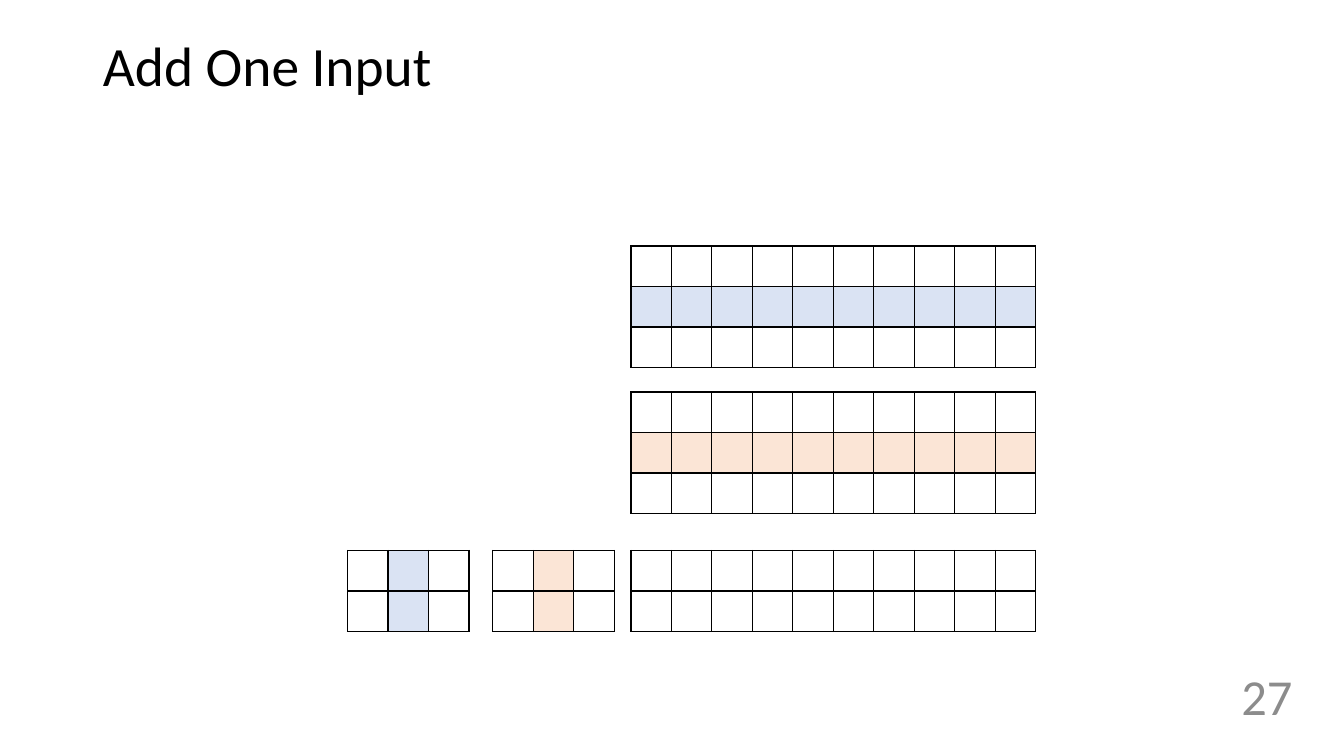
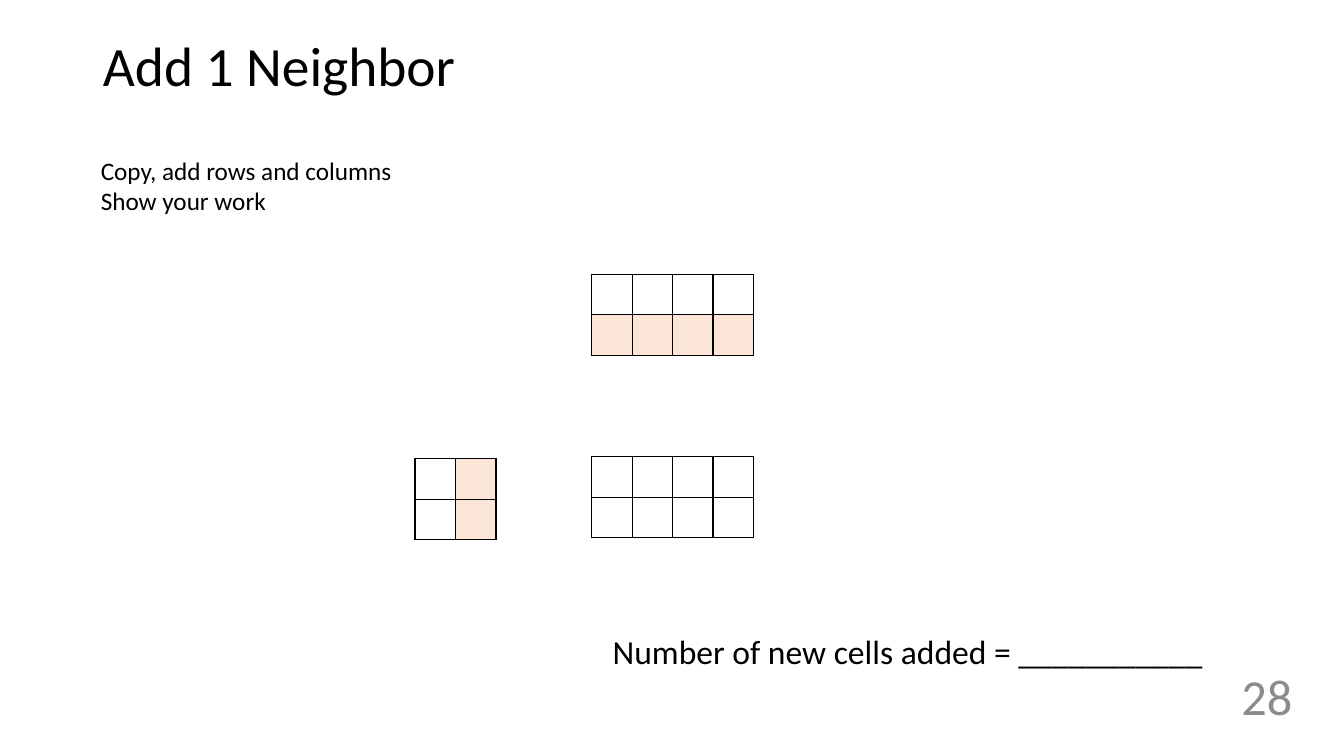
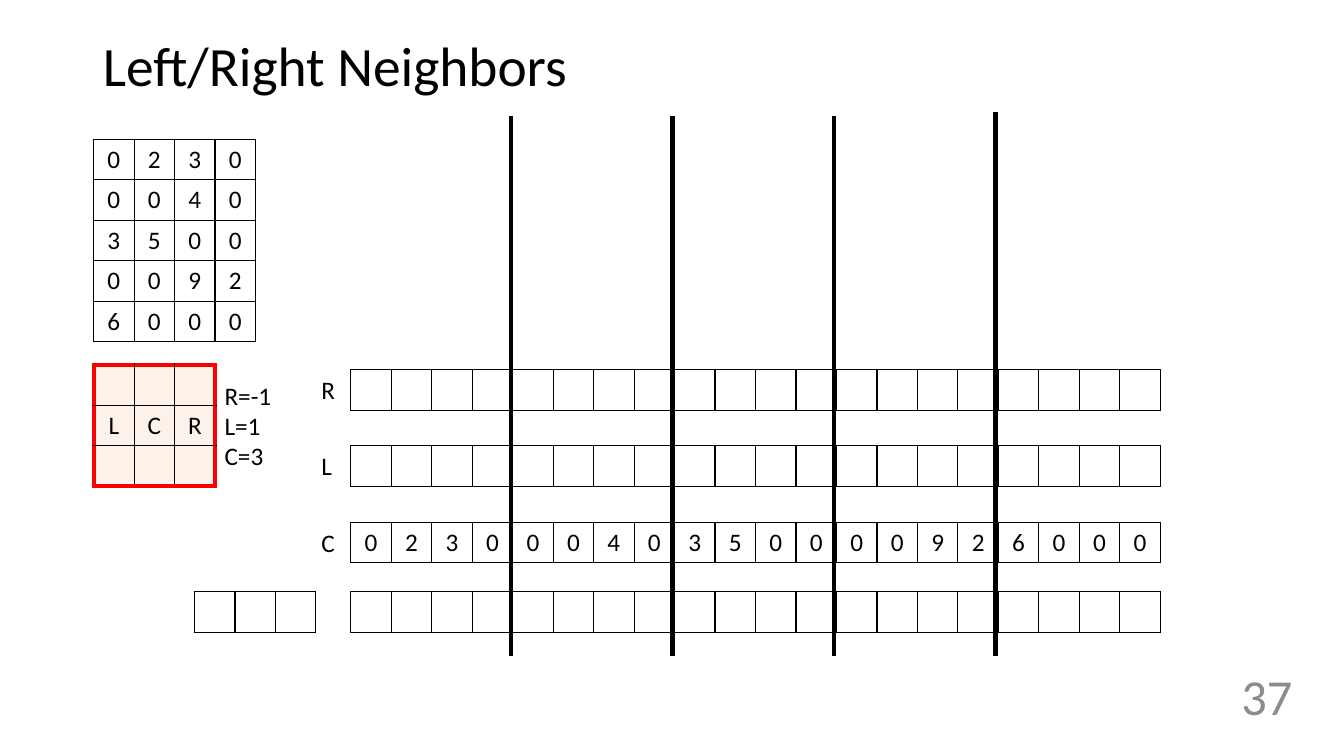
from lxml.etree import SubElement
from pptx import Presentation
from pptx.dml.color import RGBColor
from pptx.enum.shapes import MSO_CONNECTOR
from pptx.enum.text import MSO_ANCHOR, MSO_AUTO_SIZE, PP_ALIGN
from pptx.oxml import parse_xml
from pptx.oxml.ns import nsdecls, qn
from pptx.util import Cm, Pt

rgb = RGBColor.from_string
FONT = "Calibri"
BLACK, GREY, RED = "000000", "8C8C8C", "FF0000"
BLUE, PEACH = "DAE3F3", "FBE5D6"
CELL = 1.02


def add_text(slide, left, top, width, height, lines, size=18, color=BLACK):
    box = slide.shapes.add_textbox(Cm(left), Cm(top), Cm(width), Cm(height))
    frame = box.text_frame
    frame.word_wrap = False
    for index, line in enumerate(lines):
        paragraph = frame.add_paragraph() if index else frame.paragraphs[0]
        run = paragraph.add_run()
        run.text = line
        run.font.name, run.font.size = FONT, Pt(size)
        run.font.color.rgb = rgb(color)
    return frame


def add_grid(slide, left, top, rows, columns, values="",
             row_fills={}, column_fills={}, frame=None):
    """Add a table of square cells; values holds one character per cell, row by row."""
    table = slide.shapes.add_table(rows, columns, Cm(left), Cm(top),
                                   Cm(columns * CELL), Cm(rows * CELL)).table
    table.first_row = table.horz_banding = False
    for column in table.columns:
        column.width = Cm(CELL)
    for row in table.rows:
        row.height = Cm(CELL)
    for index, cell in enumerate(table.iter_cells()):
        r, c = divmod(index, columns)
        fill = row_fills.get(r) or column_fills.get(c)
        if fill:
            cell.fill.solid()
            cell.fill.fore_color.rgb = rgb(fill)
        else:
            cell.fill.background()
        outer = {"L": c == 0, "R": c == columns - 1, "T": r == 0, "B": r == rows - 1}
        for position, side in enumerate("LRTB"):
            color, width = (frame, 3) if frame and outer[side] else (BLACK, 1)
            cell._tc.tcPr.insert(position, parse_xml(
                f'<a:ln{side} {nsdecls("a")} w="{Pt(width)}"><a:solidFill>'
                f'<a:srgbClr val="{color}"/></a:solidFill></a:ln{side}>'))
        if values and values[index] != " ":
            cell.vertical_anchor = MSO_ANCHOR.MIDDLE
            paragraph = cell.text_frame.paragraphs[0]
            paragraph.alignment = PP_ALIGN.CENTER
            run = paragraph.add_run()
            run.text = values[index]
            run.font.name, run.font.size = FONT, Pt(18)
            run.font.color.rgb = rgb(BLACK)
    return table


prs = Presentation()
prs.slide_width, prs.slide_height = Cm(33.87), Cm(19.05)

# Titles and page numbers
slides = []
for heading, number in (("Add One Input", "27"), ("Add 1 Neighbor", "28"),
                        ("Left/Right Neighbors", "37")):
    slide = prs.slides.add_slide(prs.slide_layouts[5])
    title = slide.shapes.title
    title.left, title.top, title.width, title.height = Cm(2.34), Cm(1.02), Cm(29.21), Cm(1.4)
    title.text_frame.auto_size = MSO_AUTO_SIZE.NONE
    title.text_frame.vertical_anchor = MSO_ANCHOR.MIDDLE
    paragraph = title.text_frame.paragraphs[0]
    paragraph.alignment, paragraph.line_spacing = PP_ALIGN.LEFT, 0.9
    run = paragraph.add_run()
    run.text = heading
    run.font.name, run.font.size = FONT, Pt(39.6)
    run.font.color.rgb = rgb(BLACK)
    page = add_text(slide, 29.64, 16.43, 3.18, 2.18, [number], 36, GREY)
    page.word_wrap = True
    page.vertical_anchor = MSO_ANCHOR.MIDDLE
    page.paragraphs[0].alignment = PP_ALIGN.RIGHT
    slides.append(slide)
one_input, one_neighbor, left_right = slides

# Add One Input
for input_top, weights_left, color in ((6.2, 8.76, BLUE), (9.88, 12.42, PEACH)):
    add_grid(one_input, 15.9, input_top, 3, 10, row_fills={1: color})
    add_grid(one_input, weights_left, 13.87, 2, 3, column_fills={1: color})
add_grid(one_input, 15.9, 13.87, 2, 10)

# Add 1 Neighbor
add_grid(one_neighbor, 14.91, 6.91, 2, 4, row_fills={1: PEACH})
add_grid(one_neighbor, 10.46, 11.56, 2, 2, column_fills={1: PEACH})
add_grid(one_neighbor, 14.91, 11.51, 2, 4)
add_text(one_neighbor, 15.19, 15.77, 15.54, 1.27,
         ["Number of new cells added = ___________"], 24)
add_text(one_neighbor, 2.29, 3.78, 7.92, 1.8,
         ["Copy, add rows and columns", "Show your work"])

# Left/Right Neighbors
image = "0230" "0040" "3500" "0092" "6000"
add_grid(left_right, 2.36, 3.51, 5, 4, image)
for label, top, values in (("R", 9.32, ""), ("L", 11.23, ""), ("C", 13.16, image)):
    add_text(left_right, 7.85, top, 0.86, CELL, [label])
    add_grid(left_right, 8.84, top, 1, 20, values)
add_grid(left_right, 8.84, 14.91, 1, 20)
add_grid(left_right, 4.9, 14.91, 1, 3)

for index, top in enumerate((2.92, 2.92, 2.92, 2.82)):
    x = Cm(12.88 + index * 4.07)
    divider = left_right.shapes.add_connector(MSO_CONNECTOR.STRAIGHT, x, Cm(top), x, Cm(16.54))
    divider.line.width = Pt(3)
    divider.line.color.rgb = rgb(BLACK)
    SubElement(divider._element.spPr, qn("a:effectLst"))

kernel = add_grid(left_right, 2.36, 9.19, 3, 3, "   LCR   ",
                  row_fills=dict.fromkeys(range(3), PEACH), frame=RED)
for cell in kernel.iter_cells():
    tint = cell._tc.tcPr.find(qn("a:solidFill"))[0]
    SubElement(tint, qn("a:alpha"), val="49000")
add_text(left_right, 5.41, 9.45, 1.7, 2.57, ["R=-1", "L=1", "C=3"])

prs.save("out.pptx")
